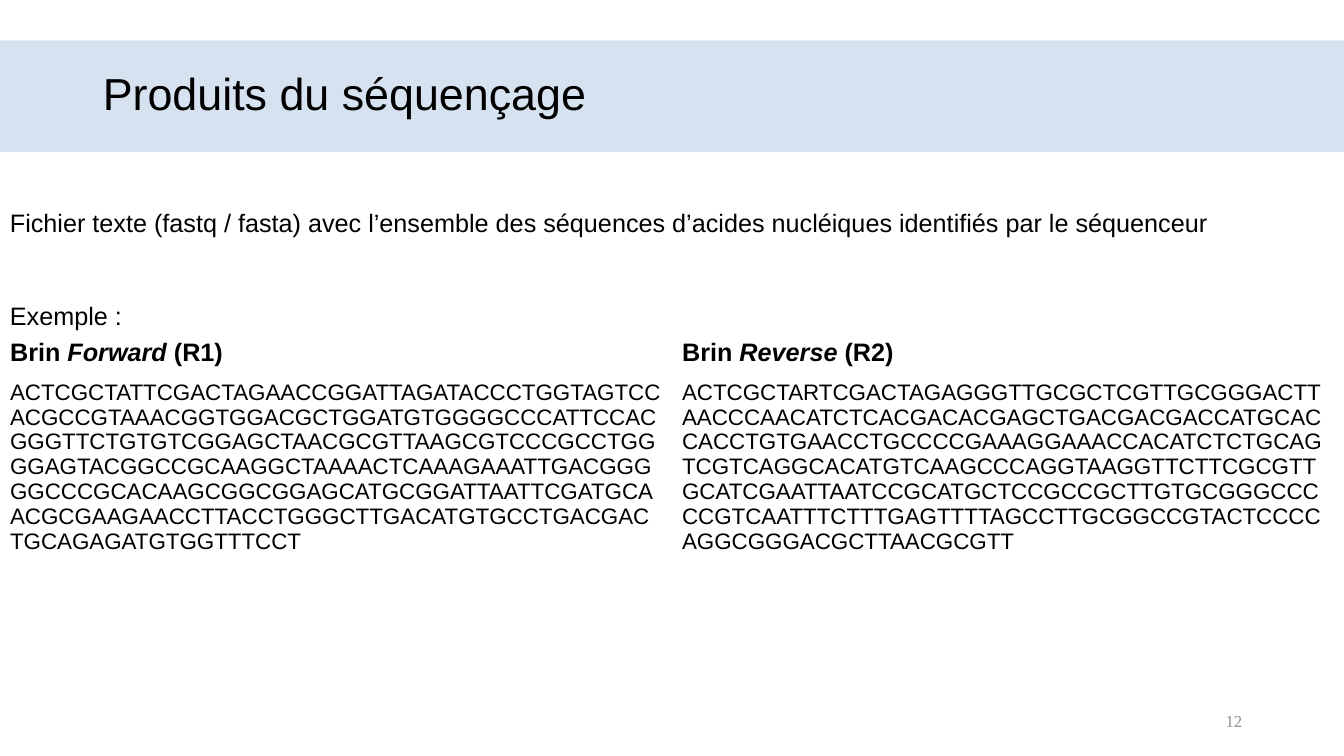
from lxml.etree import SubElement
from pptx import Presentation
from pptx.dml.color import RGBColor
from pptx.enum.shapes import MSO_SHAPE as Shape
from pptx.enum.text import MSO_ANCHOR as Anchor, MSO_AUTO_SIZE as AutoSize, PP_ALIGN as Align
from pptx.oxml.ns import qn
from pptx.util import Inches, Pt

BLACK = RGBColor(0, 0, 0)
GREY = RGBColor(0x8C, 0x8C, 0x8C)
BAND_BLUE = RGBColor(0xAE, 0xC7, 0xE3)
WIDTH, HEIGHT = 13.33, 7.5

INTRO = "Fichier texte (fastq / fasta) avec l’ensemble des séquences d’acides nucléiques identifiés par le séquenceur"
STRANDS = [
    (
        ("Brin ", "Forward", " (R1)"),
        "ACTCGCTATTCGACTAGAACCGGATTAGATACCCTGGTAGTCCACGCCGTAAACGGTGGACGCTGGATGTGGGGCCCATTCCAC"
        "GGGTTCTGTGTCGGAGCTAACGCGTTAAGCGTCCCGCCTGGGGAGTACGGCCGCAAGGCTAAAACTCAAAGAAATTGACGGG"
        "GGCCCGCACAAGCGGCGGAGCATGCGGATTAATTCGATGCAACGCGAAGAACCTTACCTGGGCTTGACATGTGCCTGACGAC"
        "TGCAGAGATGTGGTTTCCT",
    ),
    (
        ("Brin ", "Reverse", " (R2)"),
        "ACTCGCTARTCGACTAGAGGGTTGCGCTCGTTGCGGGACTTAACCCAACATCTCACGACACGAGCTGACGACGACCATGCAC"
        "CACCTGTGAACCTGCCCCGAAAGGAAACCACATCTCTGCAGTCGTCAGGCACATGTCAAGCCCAGGTAAGGTTCTTCGCGTT"
        "GCATCGAATTAATCCGCATGCTCCGCCGCTTGTGCGGGCCCCCGTCAATTTCTTTGAGTTTTAGCCTTGCGGCCGTACTCCCC"
        "AGGCGGGACGCTTAACGCGTT",
    ),
]


def format_span(span, size, color=BLACK, name="Arial", bold=False, italic=False):
    font = span.font
    font.size, font.name, font.bold, font.italic = Pt(size), name, bold, italic
    font.color.rgb = color


def add_title_band(page, left, top, width, height):
    box = [Inches(value) for value in (left, top, width, height)]
    band = page.shapes.add_shape(Shape.RECTANGLE, *box)
    band.shadow.inherit = False
    band.fill.solid()
    band.fill.fore_color.rgb = BAND_BLUE
    band.line.fill.background()
    color = band.fill._xPr.find(qn("a:solidFill"))[0]
    SubElement(color, qn("a:alpha"), val="50000")

    title = page.shapes.title
    title.element.addprevious(band.element)
    margin = width * 0.069
    title.left, title.top = Inches(left + margin), Inches(top)
    title.width, title.height = Inches(width - 2 * margin), Inches(height)
    frame = title.text_frame
    frame.text = "Produits du séquençage"
    frame.vertical_anchor = Anchor.MIDDLE
    para = frame.paragraphs[0]
    para.alignment = Align.LEFT
    para.line_spacing = 0.9
    format_span(para.runs[0], 32)


def add_intro(page, left, top, width, height):
    box = page.shapes.add_textbox(Inches(left), Inches(top), Inches(width), Inches(height))
    frame = box.text_frame
    frame.word_wrap = False
    frame.auto_size = AutoSize.SHAPE_TO_FIT_TEXT
    frame.text = f"{INTRO}\nExemple :"
    for para in frame.paragraphs:
        para.alignment = Align.LEFT
        format_span(para.runs[0], 18)
    frame.paragraphs[1].space_before = Pt(44.5)


def add_strand_table(page, left, top, width, height):
    box = [Inches(value) for value in (left, top, width, height)]
    table = page.shapes.add_table(2, len(STRANDS), *box).table
    header_height = 0.41
    table.rows[0].height = Inches(header_height)
    table.rows[1].height = Inches(height - header_height)
    for column, (heading, sequence) in enumerate(STRANDS):
        header, body = table.cell(0, column), table.cell(1, column)
        para = header.text_frame.paragraphs[0]
        for index, words in enumerate(heading):
            span = para.add_run()
            span.text = words
            format_span(span, 18, bold=True, italic=index == 1)
        body.text_frame.text = sequence
        format_span(body.text_frame.paragraphs[0].runs[0], 16)
        for cell in (header, body):
            cell.fill.background()


def add_page_number(page, left, top, width, height):
    box = page.shapes.add_textbox(Inches(left), Inches(top), Inches(width), Inches(height))
    frame = box.text_frame
    frame.word_wrap = True
    frame.vertical_anchor = Anchor.MIDDLE
    frame.text = "12"
    para = frame.paragraphs[0]
    para.alignment = Align.RIGHT
    format_span(para.runs[0], 12, GREY, "Times New Roman")


def main():
    deck = Presentation()
    deck.slide_width, deck.slide_height = Inches(WIDTH), Inches(HEIGHT)
    page = deck.slides.add_slide(deck.slide_layouts[5])
    add_title_band(page, 0, 0.4, WIDTH, 1.11)
    add_page_number(page, 9.42, 6.95, 3, 0.4)
    add_strand_table(page, 0, 3.31, WIDTH, 2.37)
    add_intro(page, 0, 2.01, 12.19, 1.31)
    deck.save("out.pptx")


if __name__ == "__main__":
    main()
